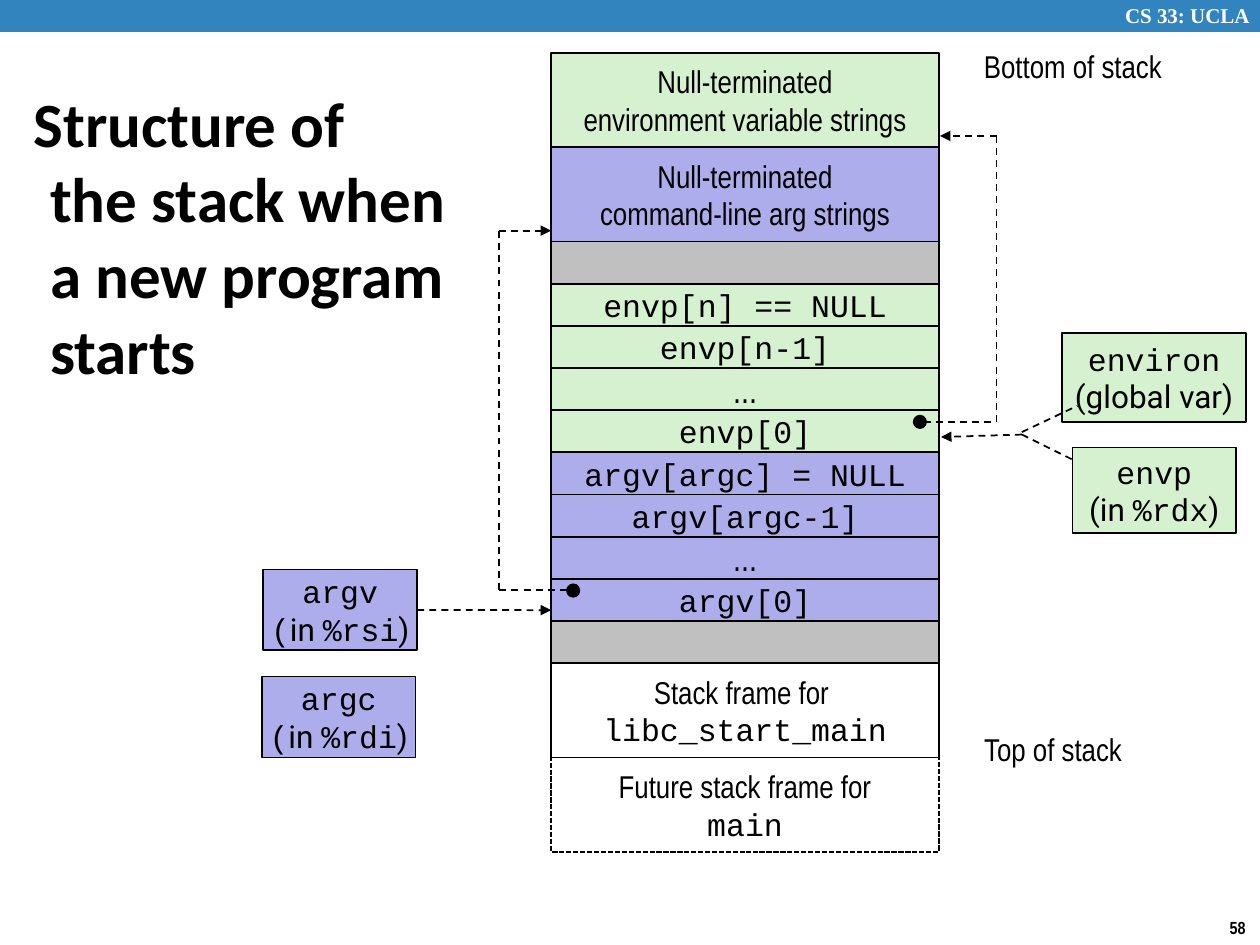
from pptx import Presentation
from pptx.dml.color import RGBColor
from pptx.enum.dml import MSO_LINE_DASH_STYLE as Dash
from pptx.enum.shapes import MSO_CONNECTOR as Link, MSO_SHAPE as Shape
from pptx.enum.text import MSO_ANCHOR as Anchor, PP_ALIGN as Align
from pptx.oxml.ns import qn
from pptx.util import Cm, Pt
from lxml.etree import SubElement

COLORS = {
    "band": "3284BF", "env": "D5F1CF", "arg": "ADADEB", "gap": "C0C0C0",
    "ink": "000000", "light": "FFFFFF",
}
NARROW, MONO, ROUND = "Arial Narrow", "Courier New", "Roboto"
STACK_LEFT, STACK_TOP, STACK_WIDTH = 11.11, 1.07, 7.82
SLOT, FRAME = 0.85, 1.9


def rgb(name):
    """Return the named colour."""
    return RGBColor.from_string(COLORS[name])


def write_text(frame, paragraphs, size=18, color="ink", bold=False,
               align=Align.CENTER, anchor=Anchor.MIDDLE, wrap=False, hanging=0):
    """Fill a text frame with paragraphs, each a list of (text, font) runs."""
    frame.word_wrap = wrap
    frame.vertical_anchor = anchor
    for index, runs in enumerate(paragraphs):
        paragraph = frame.add_paragraph() if index else frame.paragraphs[0]
        paragraph.alignment = align
        if hanging:
            properties = paragraph._p.get_or_add_pPr()
            properties.set("marL", str(Cm(hanging)))
            properties.set("indent", str(-Cm(hanging)))
        for words, font in runs:
            if words == "\n":
                paragraph.add_line_break()
                continue
            run = paragraph.add_run()
            run.text = words
            run.font.name = font
            run.font.size = Pt(size)
            run.font.bold = bold
            run.font.color.rgb = rgb(color)


def add_label(slide, left, top, width, height, paragraphs, **style):
    """Add a text box."""
    label = slide.shapes.add_textbox(Cm(left), Cm(top), Cm(width), Cm(height))
    write_text(label.text_frame, paragraphs, **style)


def add_box(slide, left, top, width, height, fill=None, paragraphs=(),
            shape=Shape.RECTANGLE, line="ink", dash=None, **style):
    """Add a flat outlined shape with centred text."""
    box = slide.shapes.add_shape(shape, Cm(left), Cm(top), Cm(width), Cm(height))
    box.shadow.inherit = False
    if fill:
        box.fill.solid()
        box.fill.fore_color.rgb = rgb(fill)
    else:
        box.fill.background()
    box.line.color.rgb = rgb(line)
    box.line.width = Pt(1)
    if dash:
        box.line.dash_style = dash
    write_text(box.text_frame, paragraphs, **style)
    return box


def add_route(slide, *points, arrow=True):
    """Join points by dashed lines and return the first line."""
    lines = []
    for start, end in zip(points, points[1:]):
        line = slide.shapes.add_connector(Link.STRAIGHT, *map(Cm, start + end))
        SubElement(line._element.spPr, qn("a:effectLst"))
        line.line.color.rgb = rgb("ink")
        line.line.width = Pt(1)
        line.line.dash_style = Dash.DASH
        lines.append(line)
    if arrow:
        SubElement(lines[-1].line._get_or_add_ln(), qn("a:tailEnd"), type="triangle")
    return lines[0]


def add_dot(slide, left, top):
    """Mark where a pointer starts."""
    add_box(slide, left, top, 0.25, 0.25, "ink", shape=Shape.OVAL)


def add_stack(slide):
    """Stack the memory regions from bottom of stack to top of stack."""
    def slot(fill, words, font=MONO, size=18):
        return SLOT, fill, [[(words, font)]], {"size": size}

    def frame(fill, first, second, font=NARROW, **style):
        return FRAME, fill, [[(first, NARROW)], [(second, font)]], style

    regions = [
        frame("env", "Null-terminated", "environment variable strings"),
        frame("arg", "Null-terminated", "command-line arg strings"),
        (SLOT, "gap", [], {}),
        slot("env", "envp[n] == NULL"),
        slot("env", "envp[n-1]"),
        slot("env", "...", NARROW, 20),
        slot("env", "envp[0]"),
        slot("arg", "argv[argc] = NULL"),
        slot("arg", "argv[argc-1]"),
        slot("arg", "...", NARROW, 20),
        slot("arg", "argv[0]"),
        (SLOT, "gap", [], {}),
        frame(None, "Stack frame for ", "libc_start_main", MONO),
        frame(None, "Future stack frame for", "main", MONO, dash=Dash.SQUARE_DOT),
    ]
    top = STACK_TOP
    for height, fill, paragraphs, style in regions:
        add_box(slide, STACK_LEFT, top, STACK_WIDTH, height, fill, paragraphs, **style)
        top += height


def register(name, place, bracket=MONO):
    """Return the text of a variable that is held in a register."""
    return [[(name, MONO)],
            [("(", bracket), ("in ", ROUND), (place, MONO), (")", ROUND)]]


def main():
    """Build the slide."""
    deck = Presentation()
    deck.slide_width, deck.slide_height = Cm(25.4), Cm(19.05)
    slide = deck.slides.add_slide(deck.slide_layouts[6])

    add_box(slide, 0, 0, 25.4, 0.63, "band", line="band")
    add_label(slide, 22.43, -0.08, 3.15, 0.76, [[("CS 33: UCLA", "Times New Roman")]],
              size=12, color="light", bold=True, align=Align.LEFT, anchor=Anchor.TOP)
    add_label(slide, 24.54, 18.36, 0.86, 0.69, [[("58", NARROW)]],
              size=10, bold=True, align=Align.LEFT, anchor=Anchor.TOP)
    add_label(slide, 0.43, 2.11, 9.07, 5.28,
              [[("Structure of ", "Calibri"), ("\n", None),
                ("the stack when a new program starts", "Calibri")]],
              size=36, bold=True, align=Align.LEFT, wrap=True, hanging=0.33)

    add_stack(slide)
    add_label(slide, 19.56, 0.81, 4.14, 1.02, [[("Bottom of stack", NARROW)]])
    add_label(slide, 19.53, 14.58, 3.4, 1.02, [[("Top of stack", NARROW)]])

    argv = add_box(slide, 5.31, 11.48, 3.1, 1.63, "arg", register("argv", "%rsi"))
    add_box(slide, 5.28, 13.64, 3.1, 1.63, "arg", register("argc", "%rdi"))
    add_route(slide, (8.41, 12.3), (STACK_LEFT, 12.3)).begin_connect(argv, 3)
    add_route(slide, (11.43, 11.9), (10.06, 11.9), (10.06, 4.65), (STACK_LEFT, 4.65))
    add_dot(slide, 11.43, 11.78)

    add_box(slide, 21.41, 6.71, 3.71, 1.8, "env",
            [[("environ", MONO)], [("(global var)", ROUND)]])
    add_route(slide, (18.62, 8.51), (20.09, 8.51), (20.09, 2.74), (18.95, 2.74))
    add_dot(slide, 18.42, 8.38)
    add_route(slide, (20.6, 8.76), (18.97, 8.81))
    add_route(slide, (20.6, 8.76), (21.69, 9.3), arrow=False)
    add_route(slide, (20.6, 8.71), (21.72, 8.18), arrow=False)
    add_box(slide, 21.62, 9.02, 3.3, 1.73, "env", register("envp", "%rdx", ROUND))

    deck.save("out.pptx")


if __name__ == "__main__":
    main()
